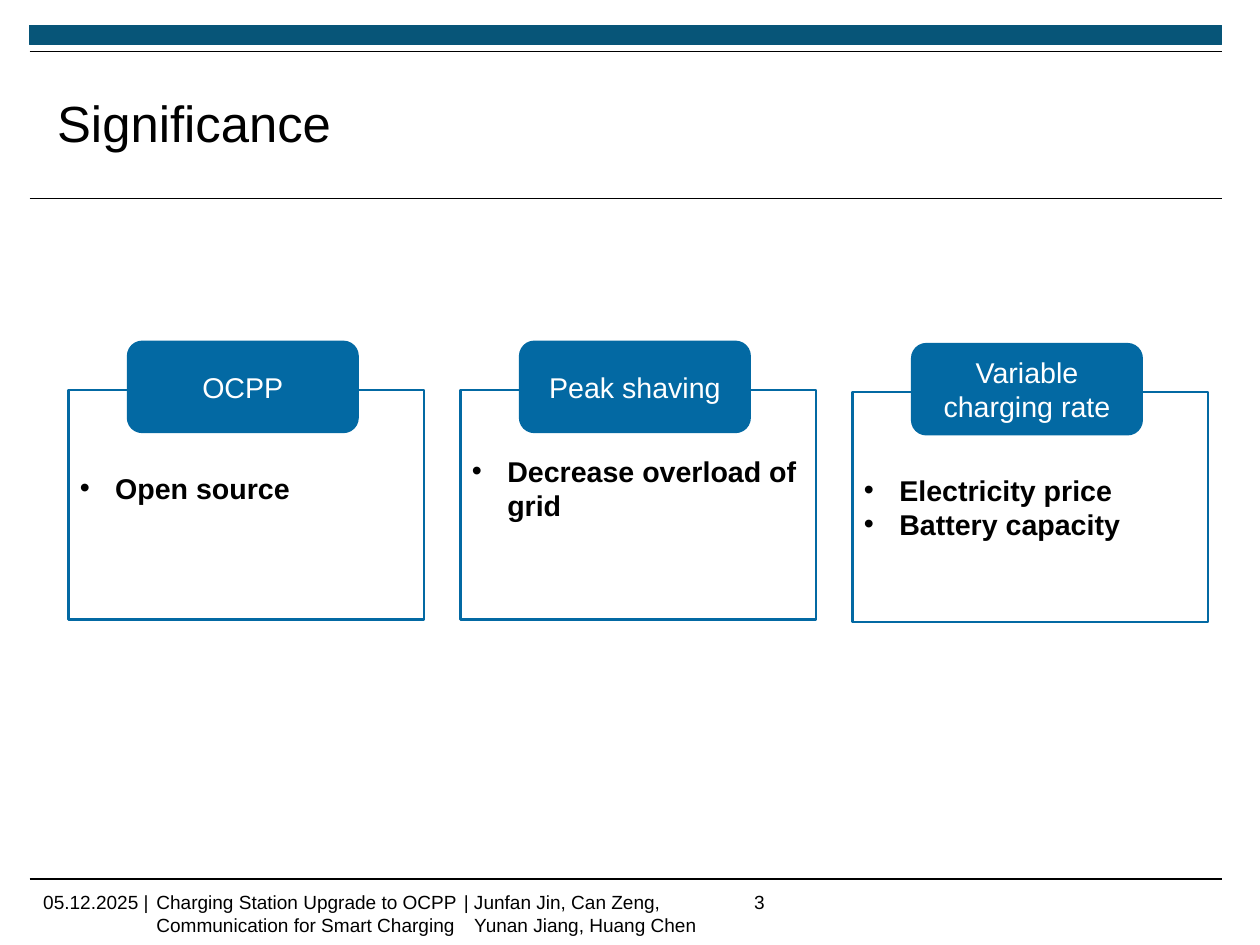
from lxml.etree import SubElement
from pptx import Presentation
from pptx.dml.color import RGBColor
from pptx.enum.shapes import MSO_CONNECTOR, MSO_SHAPE
from pptx.enum.text import MSO_ANCHOR, MSO_AUTO_SIZE, PP_ALIGN
from pptx.oxml.ns import qn
from pptx.util import Cm, Pt

PX = 9144  # EMU per px, 100 px to the inch
FONT = "Arial"
COLORS = {"band": "075578", "card": "0369A3", "black": "000000", "white": "FFFFFF"}
CARDS = [
    ("OCPP", ["Open source"]),
    ("Peak shaving", ["Decrease overload of grid"]),
    ("Variable charging rate", ["Electricity price", "Battery capacity"]),
]


def color(name):
    return RGBColor.from_string(COLORS[name])


def px(*lengths):
    return [length * PX for length in lengths]


def style(paragraph, size, font_color="black", bold=False, align=PP_ALIGN.LEFT):
    paragraph.alignment = align
    font = paragraph.font
    font.name, font.size, font.bold = FONT, Pt(size), bold
    font.color.rgb = color(font_color)


def indent(paragraph, left, first=0, bullet=None):
    properties = paragraph._p.get_or_add_pPr()
    properties.set("marL", str(left * PX))
    properties.set("indent", str(first * PX))
    if bullet:
        for tag, attributes in (("a:buFont", {"typeface": FONT}),
                                ("a:buChar", {"char": bullet})):
            element = properties.makeelement(qn(tag), attributes)
            properties.insert_element_before(element, "a:tabLst", "a:defRPr", "a:extLst")


def add_box(slide, kind, box, fill, line=None, width=1.5):
    shape = slide.shapes.add_shape(kind, *px(*box))
    shape.shadow.inherit = False
    shape.fill.solid()
    shape.fill.fore_color.rgb = color(fill)
    if line:
        shape.line.color.rgb = color(line)
        shape.line.width = Pt(width)
    else:
        shape.line.fill.background()
    shape.text_frame.word_wrap = True
    shape.text_frame.vertical_anchor = MSO_ANCHOR.MIDDLE
    return shape


def add_rule(slide, left, top, width):
    rule = slide.shapes.add_connector(
        MSO_CONNECTOR.STRAIGHT, *px(left, top, left + width, top))
    rule.line.color.rgb = color("black")
    rule.line.width = Pt(0.71)
    SubElement(rule._element.spPr, qn("a:effectLst"))


def add_header(slide, left, top, width, height):
    # Band and the rules around the title
    add_box(slide, MSO_SHAPE.RECTANGLE, (left, top, width, 17), "band", "band", 0.75)
    add_rule(slide, left, top + 23, width)
    add_rule(slide, left, top + height, width)

    # Title
    title = slide.shapes.title
    title.left, title.top, title.width, title.height = px(left + 24, top + 38, 800, 100)
    frame = title.text_frame
    frame.text = "Significance"
    frame.auto_size = MSO_AUTO_SIZE.NONE
    frame.vertical_anchor = MSO_ANCHOR.MIDDLE
    frame.margin_left = frame.margin_right = frame.margin_top = frame.margin_bottom = 0
    style(frame.paragraphs[0], 32)
    frame.paragraphs[0].line_spacing = 0.9


def add_card(slide, left, top, width, height, heading, points):
    # Framed list; a single point sits half a line above the middle
    frame_top = top + 43
    body = add_box(slide, MSO_SHAPE.RECTANGLE,
                   (left, frame_top, width, height - 43), "white", "card")
    frame = body.text_frame
    frame.text = "\n".join(points)
    if len(points) == 1:
        frame.margin_bottom = 34 * PX
    for paragraph in frame.paragraphs:
        style(paragraph, 18, bold=True)
        indent(paragraph, 31, -31, "•")

    # Heading tab
    tab = add_box(slide, MSO_SHAPE.ROUNDED_RECTANGLE, (left + 51, top, 203, 81), "card")
    tab.text_frame.text = heading
    style(tab.text_frame.paragraphs[0], 18, "white", align=PP_ALIGN.CENTER)


def add_footer_text(slide, left, top, width, height, text):
    frame = slide.shapes.add_textbox(*px(left, top, width, height)).text_frame
    frame.word_wrap = True
    frame.margin_right = 0
    frame.text = text
    for paragraph in frame.paragraphs:
        style(paragraph, 12)
    return frame


def add_footer(slide, left, top, width, height):
    add_rule(slide, left, top, width)
    text_top = top + 5
    add_footer_text(slide, left + 2, text_top, 118, 29, "05.12.2025 |")
    add_footer_text(slide, left + 101, text_top, 282, height - 5,
                    "Charging Station Upgrade to OCPP Communication for Smart Charging")
    authors = add_footer_text(slide, left + 370, text_top, 220, height - 5,
                              "| Junfan Jin, Can Zeng,\nYunan Jiang, Huang Chen")
    indent(authors.paragraphs[1], 9)
    add_footer_text(slide, left + 624, text_top, 76, 28, "3")


def main():
    presentation = Presentation()
    presentation.slide_width, presentation.slide_height = Cm(28), Cm(21)
    slide = presentation.slides.add_slide(presentation.slide_layouts[5])

    add_header(slide, 26, 22, 1043, 152)
    for index, (heading, points) in enumerate(CARDS):
        top = 300 if index == 2 else 298
        add_card(slide, 60 + 343 * index, top, 311, 244, heading, points)
    add_footer(slide, 26, 769, 1043, 53)

    presentation.save("out.pptx")


if __name__ == "__main__":
    main()
